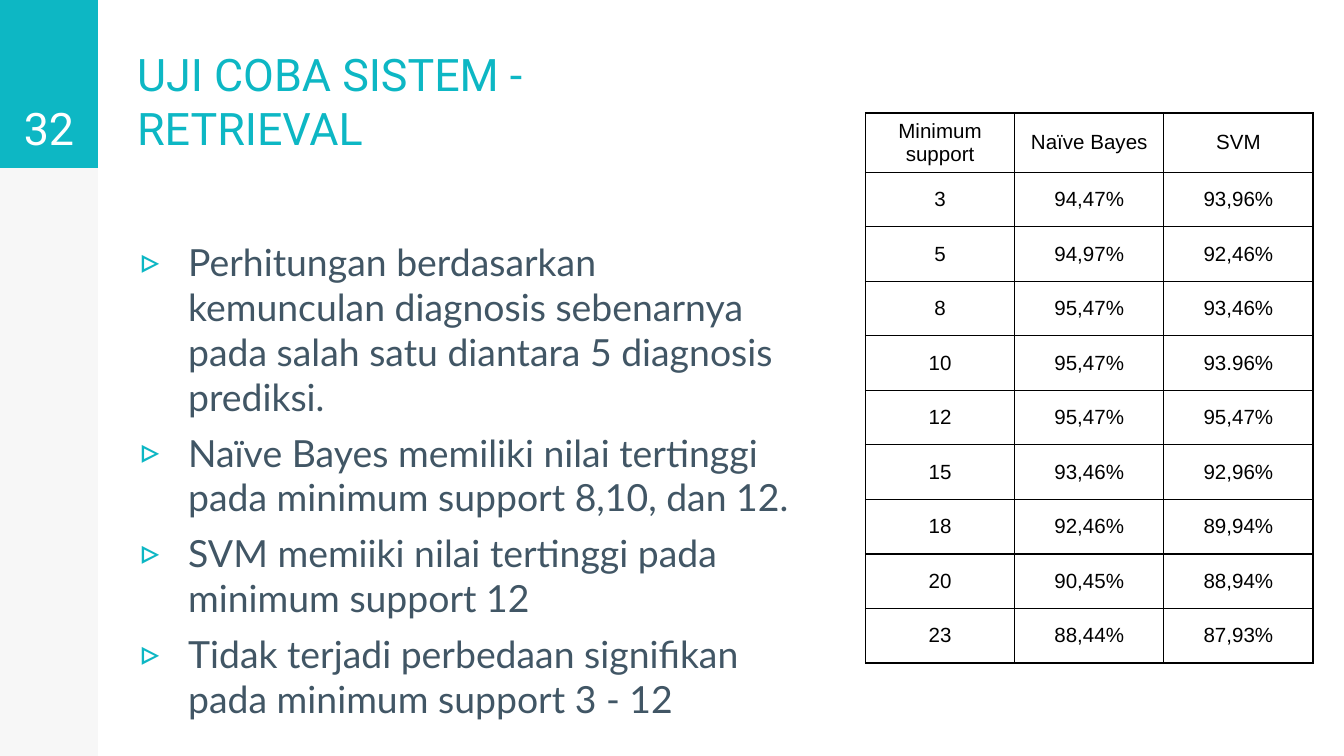
from dataclasses import dataclass

import pptx
import pptx.dml.color
import pptx.enum.shapes
import pptx.enum.text
import pptx.oxml
import pptx.oxml.ns
import pptx.util

Inches, Pt = pptx.util.Inches, pptx.util.Pt
RGB = pptx.dml.color.RGBColor.from_string
ALIGN, ANCHOR = pptx.enum.text.PP_ALIGN, pptx.enum.text.MSO_ANCHOR
NS = pptx.oxml.ns.nsdecls("a")


@dataclass(frozen=True)
class TextStyle:
    font: str
    size: float
    color: str


@dataclass(frozen=True)
class Theme:
    accent: str = "0DB7C4"
    strip: str = "000000"
    strip_alpha: int = 3
    border: str = "000000"
    border_width: float = 0.75
    bullet_font: str = "Arial"
    title: TextStyle = TextStyle("Roboto", 24, "0DB7C4")
    number: TextStyle = TextStyle("Roboto", 24, "FFFFFF")
    body: TextStyle = TextStyle("Lato", 20, "415665")
    cell: TextStyle = TextStyle("Arial", 11, "000000")


@dataclass(frozen=True)
class Box:
    left: float
    top: float
    width: float
    height: float

    def lengths(self) -> tuple:
        return tuple(Inches(v) for v in (self.left, self.top, self.width, self.height))


@dataclass(frozen=True)
class Result:
    support: str
    naive_bayes: str
    svm: str


THEME = Theme()
SLIDE_WIDTH = 10
SLIDE_HEIGHT = SLIDE_WIDTH * 9 / 16
STRIP = Box(0, 0, 0.73, SLIDE_HEIGHT)
NUMBER = Box(0, 0, 0.73, 1.25)
TITLE = Box(0.92, 0, 3.89, 1.25)
BODY = Box(0.92, 1.68, 5.14, 3.63)
TABLE = Box(6.44, 0.84, 3.33, 4.06)

POINTS = (
    "Perhitungan berdasarkan kemunculan diagnosis sebenarnya pada salah satu diantara 5 diagnosis prediksi.",
    "Naïve Bayes memiliki nilai tertinggi pada minimum support 8,10, dan 12.",
    "SVM memiiki nilai tertinggi pada minimum support 12",
    "Tidak terjadi perbedaan signifikan pada minimum support 3 - 12",
)
RESULTS = (
    Result("Minimum support", "Naïve Bayes", "SVM"),
    Result("3", "94,47%", "93,96%"),
    Result("5", "94,97%", "92,46%"),
    Result("8", "95,47%", "93,46%"),
    Result("10", "95,47%", "93.96%"),
    Result("12", "95,47%", "95,47%"),
    Result("15", "93,46%", "92,96%"),
    Result("18", "92,46%", "89,94%"),
    Result("20", "90,45%", "88,94%"),
    Result("23", "88,44%", "87,93%"),
)


def add_run(p, text: str, style: TextStyle, align=ALIGN.LEFT) -> None:
    p.alignment = align
    r = p.add_run()
    r.text = text
    r.font.name = style.font
    r.font.size = Pt(style.size)
    r.font.color.rgb = RGB(style.color)


def set_frame(tf, anchor) -> None:
    tf.word_wrap = True
    tf.auto_size = pptx.enum.text.MSO_AUTO_SIZE.NONE
    tf.vertical_anchor = anchor
    tf.margin_left = tf.margin_right = tf.margin_top = tf.margin_bottom = Inches(0.1)


def place(sp, box: Box) -> None:
    sp.left, sp.top, sp.width, sp.height = box.lengths()


def add_rect(s, box: Box, color: str):
    sp = s.shapes.add_shape(pptx.enum.shapes.MSO_SHAPE.RECTANGLE, *box.lengths())
    sp.shadow.inherit = False
    sp.fill.solid()
    sp.fill.fore_color.rgb = RGB(color)
    sp.line.fill.background()
    return sp


def add_sidebar(s) -> None:
    strip = add_rect(s, STRIP, THEME.strip)
    color = strip.fill._xPr.find(".//" + pptx.oxml.ns.qn("a:srgbClr"))
    color.append(pptx.oxml.parse_xml(f'<a:alpha {NS} val="{THEME.strip_alpha * 1000}"/>'))
    tf = add_rect(s, NUMBER, THEME.accent).text_frame
    set_frame(tf, ANCHOR.BOTTOM)
    add_run(tf.paragraphs[0], "32", THEME.number, ALIGN.CENTER)


def set_bullet(p) -> None:
    pPr = p._p.get_or_add_pPr()
    pPr.set("marL", str(Inches(0.38)))
    pPr.set("indent", str(-Inches(0.38)))
    for xml in (
        f'<a:buClr {NS}><a:srgbClr val="{THEME.accent}"/></a:buClr>',
        f'<a:buFont {NS} typeface="{THEME.bullet_font}"/>',
        f'<a:buChar {NS} char="▹"/>',
    ):
        pPr.append(pptx.oxml.parse_xml(xml))


def fill_body(sp) -> None:
    place(sp, BODY)
    tf = sp.text_frame
    set_frame(tf, ANCHOR.TOP)
    for i, text in enumerate(POINTS):
        p = tf.add_paragraph() if i else tf.paragraphs[0]
        p.space_before = Pt(6)
        set_bullet(p)
        add_run(p, text, THEME.body)


def set_borders(cell) -> None:
    tcPr = cell._tc.get_or_add_tcPr()
    for i, side in enumerate("LRTB"):
        tcPr.insert(i, pptx.oxml.parse_xml(
            f'<a:ln{side} {NS} w="{Pt(THEME.border_width)}"><a:solidFill>'
            f'<a:srgbClr val="{THEME.border}"/></a:solidFill></a:ln{side}>'))


def add_results(s) -> None:
    table = s.shapes.add_table(len(RESULTS), 3, *TABLE.lengths()).table
    table.first_row = table.horz_banding = False
    for row, result in zip(table.rows, RESULTS):
        values = (result.support, result.naive_bayes, result.svm)
        for cell, value in zip(row.cells, values):
            cell.fill.background()
            set_borders(cell)
            cell.vertical_anchor = ANCHOR.MIDDLE
            add_run(cell.text_frame.paragraphs[0], value, THEME.cell, ALIGN.CENTER)


def main() -> None:
    prs = pptx.Presentation()
    prs.slide_width, prs.slide_height = Inches(SLIDE_WIDTH), Inches(SLIDE_HEIGHT)
    s = prs.slides.add_slide(prs.slide_layouts[1])
    add_sidebar(s)
    title = s.shapes.title
    place(title, TITLE)
    set_frame(title.text_frame, ANCHOR.BOTTOM)
    add_run(title.text_frame.paragraphs[0], "UJI COBA SISTEM - RETRIEVAL", THEME.title)
    fill_body(s.placeholders[1])
    add_results(s)
    prs.save("out.pptx")


if __name__ == "__main__":
    main()
